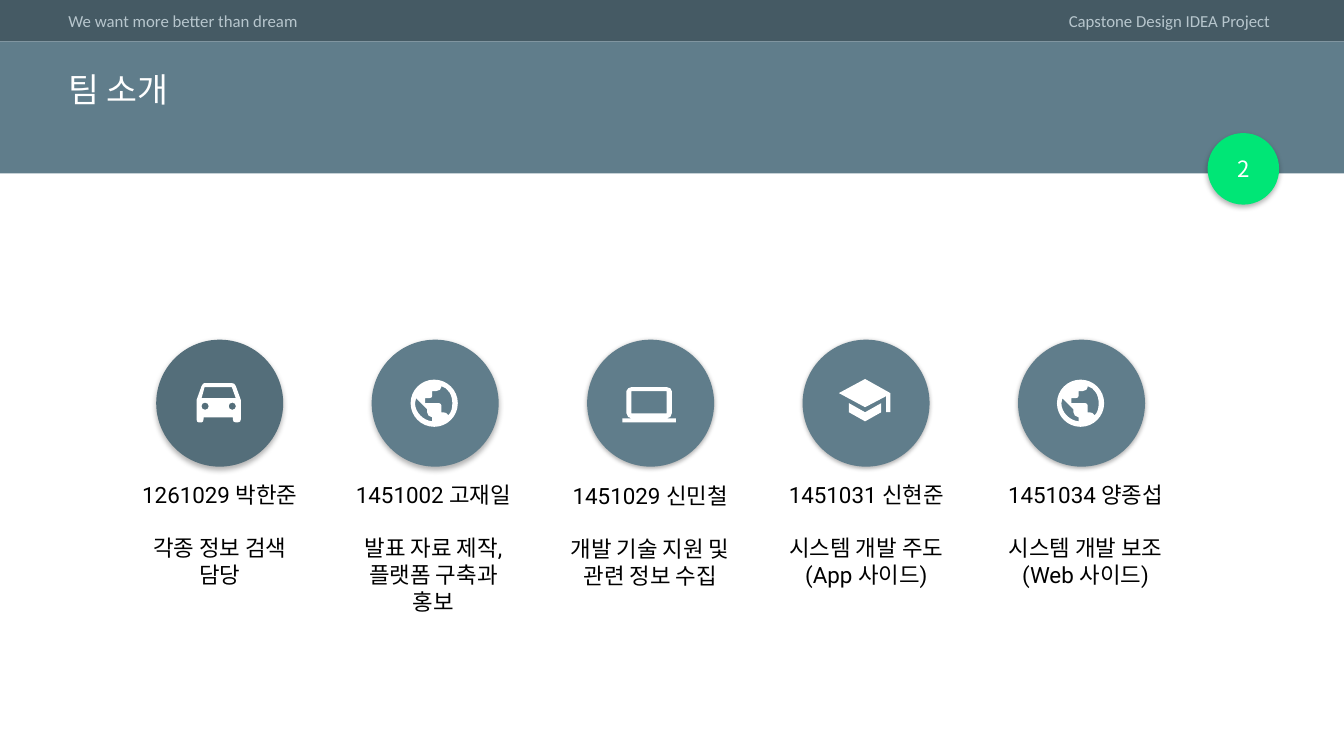
from lxml import etree
from pptx import Presentation
from pptx.dml.color import RGBColor
from pptx.enum import shapes, text
from pptx.oxml import ns
from pptx.util import Inches, Pt

DARK = RGBColor(0x45, 0x5A, 0x64)
SLATE = RGBColor(0x60, 0x7D, 0x8B)
DEEP_SLATE = RGBColor(0x54, 0x6E, 0x7A)
PALE = RGBColor(0xB7, 0xC6, 0xCD)
GREEN = RGBColor(0x00, 0xE6, 0x76)
WHITE = RGBColor(0xFF, 0xFF, 0xFF)
BLACK = RGBColor(0, 0, 0)

PAGE_WIDTH = 40 / 3
HANGUL = "Noto Sans CJK KR"
LEFT, CENTER, RIGHT = text.PP_ALIGN.LEFT, text.PP_ALIGN.CENTER, text.PP_ALIGN.RIGHT


def circle(x, y, r):
    k = 0.55 * r
    return [(x, y - r),
            (x + k, y - r, x + r, y - k, x + r, y), (x + r, y + k, x + k, y + r, x, y + r),
            (x - k, y + r, x - r, y + k, x - r, y), (x - r, y - k, x - k, y - r, x, y - r)]


# Icon outlines in hundredths of an inch from the icon centre.
# A pair is a corner; six numbers are a Bezier curve to the last pair.
CAR = [
    [(17, -17), (16, -19, 15, -20, 13, -20), (-14, -20), (-15, -20, -16, -19, -17, -17),
     (-22, -3), (-22, 16), (-22, 18, -21, 19, -20, 19), (-17, 19),
     (-16, 19, -15, 18, -15, 16), (-15, 14), (14, 14), (14, 16),
     (14, 18, 15, 19, 17, 19), (19, 19), (21, 19, 22, 18, 22, 16), (22, -3)],
    circle(-13.5, 3, 3.6),
    circle(13.5, 3, 3.6),
    [(-17, -5), (-14, -16), (13, -16), (17, -5)],
]
GLOBE = [
    circle(0, 0, 23.4),
    [(-2, 18), (-11, 17, -19, 9, -19, 0), (-19, -2, -18, -3, -18, -5), (-7, 6), (-7, 9),
     (-7, 11, -5, 14, -2, 14)],
    [(14, 12), (13, 10, 11, 9, 9, 9), (7, 9), (7, 2), (7, 1, 6, 0, 5, 0), (-9, 0),
     (-9, -5), (-5, -5), (-3, -5, -2, -6, -2, -7), (-2, -12), (2, -12),
     (5, -12, 7, -14, 7, -16), (7, -17), (14, -15, 18, -8, 18, 0), (18, 5, 17, 9, 14, 12)],
]
LAPTOP = [
    [(17, 15), (20, 15, 22, 13, 22, 10), (22, -12), (22, -14, 20, -16, 17, -16),
     (-18, -16), (-20, -16, -23, -14, -23, -12), (-23, 10), (-23, 13, -20, 15, -18, 15),
     (-27, 15), (-27, 19), (26, 19), (26, 15)],
    [(-18, -12), (17, -12), (17, 10), (-18, 10)],
]
CAP = [
    [(-16, 0), (-16, 9), (0, 18), (16, 9), (16, 0), (0, 9)],
    [(0, -24), (-26, -10), (0, 4), (21, -7), (21, 9), (25, 9), (25, -10)],
]

# Icon, disc colour, shadow (blur, distance), text box, paragraphs
MEMBERS = [
    (CAR, DEEP_SLATE, (4, 2), (1.27, 4.72, 1.82, 1.45),
     ["1261029 박한준", "각종 정보 검색 담당"]),
    (GLOBE, SLATE, (4, 2), (3.39, 4.72, 1.82, 1.45),
     ["1451002 고재일", "발표 자료 제작, 플랫폼 구축과 홍보"]),
    (LAPTOP, SLATE, (3, 1), (5.54, 4.73, 1.82, 1.45),
     ["1451029 신민철", "개발 기술 지원 및 관련 정보 수집"]),
    (CAP, SLATE, (3, 1), (7.61, 4.72, 1.97, 1.18),
     ["1451031 신현준", "시스템 개발 주도 (App 사이드)"]),
    (GLOBE, SLATE, (3, 1), (9.81, 4.72, 1.92, 1.18),
     ["1451034 양종섭", "시스템 개발 보조", "(Web 사이드)"]),
]


def paint(shape, color):
    shape.shadow.inherit = False
    shape.fill.solid()
    shape.fill.fore_color.rgb = color
    shape.line.fill.background()
    return shape


def add_filled(page, kind, box, color):
    return paint(page.shapes.add_shape(kind, *map(Inches, box)), color)


def add_disc(page, box, color, blur, distance):
    disc = add_filled(page, shapes.MSO_SHAPE.OVAL, box, color)
    effects = disc.element.spPr.find(ns.qn("a:effectLst"))
    shadow = etree.SubElement(effects, ns.qn("a:outerShdw"), blurRad=str(Pt(blur)),
                              dist=str(Pt(distance)), dir="5400000",
                              algn="t", rotWithShape="0")
    tint = etree.SubElement(shadow, ns.qn("a:srgbClr"), val="000000")
    etree.SubElement(tint, ns.qn("a:alpha"), val="30000")


def add_span(para, words, size, font, color, align):
    para.alignment = align
    span = para.add_run()
    span.text = words
    span.font.size = Pt(size)
    span.font.name = font
    span.font.color.rgb = color


def add_label(page, box, lines, size, font, color, align):
    frame = page.shapes.add_textbox(*map(Inches, box)).text_frame
    frame.word_wrap = True
    for index, words in enumerate(lines):
        para = frame.add_paragraph() if index else frame.paragraphs[0]
        if index == 1:
            para.space_before = Pt(19)
        add_span(para, words, size, font, color, align)
    return frame


def add_icon(page, center_x, center_y, contours):
    # Straight outline through all nodes, in thousandths of an inch
    outlines = [[tuple(round(10 * value) for value in node) for node in contour]
                for contour in contours]
    builder = page.shapes.build_freeform(*outlines[0][0], scale=Inches(1) / 1000)
    for index, nodes in enumerate(outlines):
        if index:
            builder.move_to(*nodes[0])
        builder.add_line_segments([node[-2:] for node in nodes[1:]], close=True)
    icon = paint(builder.convert_to_shape(Inches(center_x), Inches(center_y)), WHITE)

    # Bend the segments that are curves
    ends = [node[-2:] for nodes in outlines for node in nodes]
    min_x, min_y = min(x for x, y in ends), min(y for x, y in ends)
    segments = [node for nodes in outlines for node in nodes[1:]]
    for segment, node in zip(list(icon.element.iter(ns.qn("a:lnTo"))), segments):
        if len(node) == 6:
            curve = etree.Element(ns.qn("a:cubicBezTo"))
            for x, y in zip(node[::2], node[1::2]):
                etree.SubElement(curve, ns.qn("a:pt"), x=str(x - min_x), y=str(y - min_y))
            segment.getparent().replace(segment, curve)


def add_header(page, box):
    left, top, width, height = box
    strip = 0.41
    # Bars
    bar = shapes.MSO_SHAPE.RECTANGLE
    add_filled(page, bar, (left, top, width, strip), DARK)
    add_filled(page, bar, (left, top + strip, width, height - strip), SLATE)
    # Running texts
    for offset, words, align in ((0.58, "We want more better than dream", LEFT),
                                 (7.14, "Capstone Design IDEA Project", RIGHT)):
        add_label(page, (left + offset, top + 0.06, 5.56, 0.3), [words],
                  12, "Calibri", PALE, align)
    # Title, brought in front of the bars
    title = page.shapes.title
    title.element.getparent().append(title.element)
    title.left, title.top = Inches(left + 0.58), Inches(top + 0.68)
    title.width, title.height = Inches(12.28), Inches(0.47)
    frame = title.text_frame
    frame.auto_size = text.MSO_AUTO_SIZE.NONE
    frame.vertical_anchor = text.MSO_ANCHOR.TOP
    frame.paragraphs[0].line_spacing = 0.9
    add_span(frame.paragraphs[0], "팀 소개", 24, HANGUL, WHITE, LEFT)
    # Page number
    add_disc(page, (left + 11.98, top + 1.32, 0.71, 0.71), GREEN, 4, 2)
    number = add_label(page, (left + 11.94, top + 1.47, 0.79, 0.4), ["2"],
                       16, HANGUL, WHITE, CENTER)
    number.vertical_anchor = text.MSO_ANCHOR.MIDDLE


def add_team(page, box):
    left, top, width, size = box
    pitch = (width - size) / (len(MEMBERS) - 1)
    for index, (icon, color, shadow, label_box, lines) in enumerate(MEMBERS):
        x = left + index * pitch
        add_disc(page, (x, top, size, size), color, *shadow)
        add_icon(page, x + size / 2 - 0.01, top + size / 2, icon)
        add_label(page, label_box, lines, 16, "Roboto", BLACK, CENTER)


def main():
    deck = Presentation()
    deck.slide_width, deck.slide_height = Inches(PAGE_WIDTH), Inches(7.5)
    page = deck.slides.add_slide(deck.slide_layouts[5])
    add_header(page, (0, 0, PAGE_WIDTH, 1.72))
    add_team(page, (1.55, 3.37, 9.81, 1.26))
    deck.save("out.pptx")


if __name__ == "__main__":
    main()
